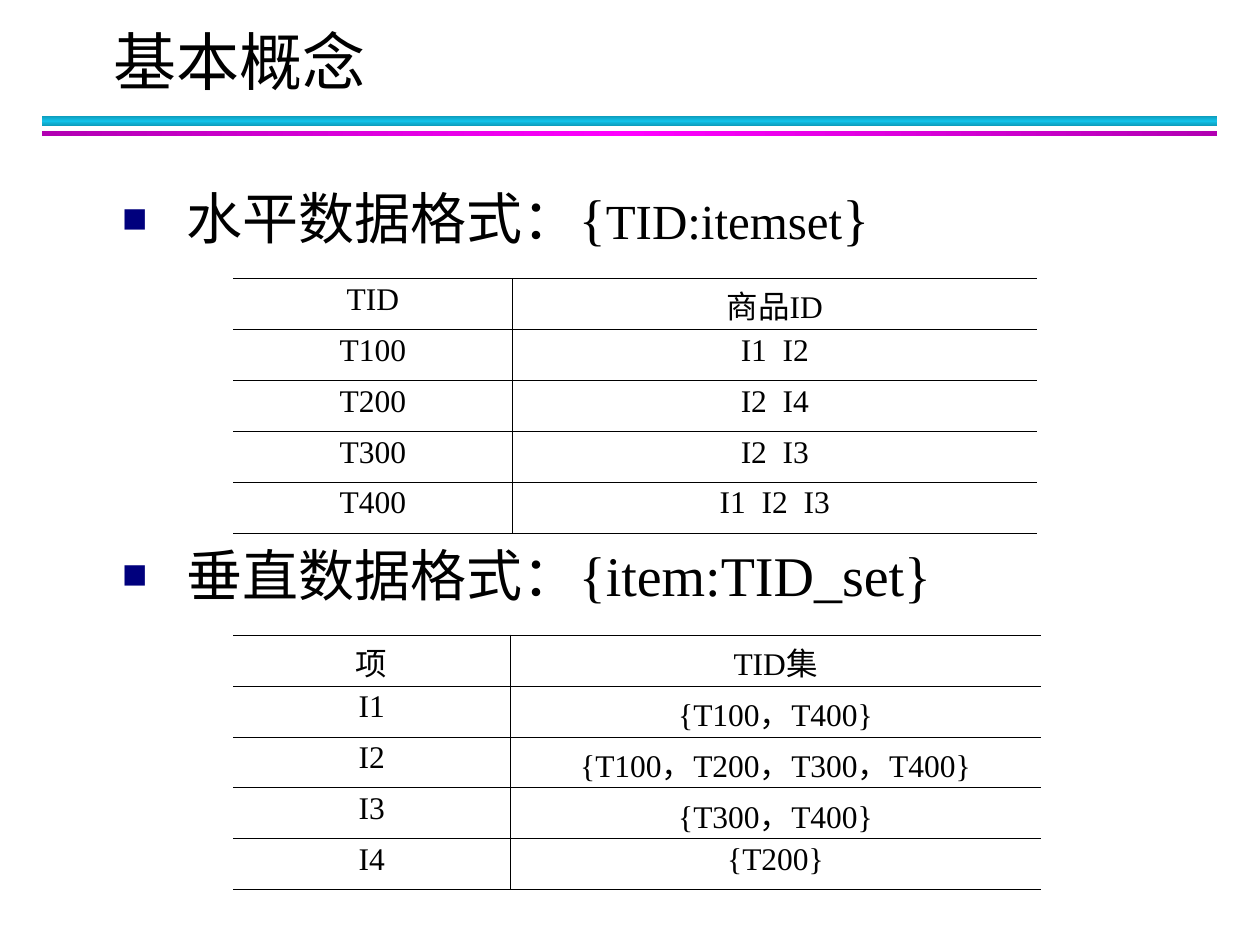
from lxml import etree
from pptx import Presentation
from pptx.dml.color import RGBColor
from pptx.enum.shapes import MSO_SHAPE
from pptx.enum.text import MSO_ANCHOR, MSO_AUTO_SIZE, PP_ALIGN
from pptx.oxml.ns import qn
from pptx.util import Inches, Pt

RECTANGLE = MSO_SHAPE.RECTANGLE
TOP, MIDDLE = MSO_ANCHOR.TOP, MSO_ANCHOR.MIDDLE
LEFT, CENTER = PP_ALIGN.LEFT, PP_ALIGN.CENTER
NO_AUTOFIT = MSO_AUTO_SIZE.NONE
TWO_CONTENT_LAYOUT = 3

BLACK, NAVY = "000000", "00007D"
LATIN, CHINESE = "Times New Roman", "Noto Sans CJK SC"

HORIZONTAL_ROWS = [
    ("TID", "商品ID"),
    ("T100", "I1  I2"),
    ("T200", "I2  I4"),
    ("T300", "I2  I3"),
    ("T400", "I1  I2  I3"),
]
VERTICAL_ROWS = [
    ("项", "TID集"),
    ("I1", "{T100，T400}"),
    ("I2", "{T100，T200，T300，T400}"),
    ("I3", "{T300，T400}"),
    ("I4", "{T200}"),
]


def rgb(value):
    return RGBColor.from_string(value)


def add_xml(parent, tag, **attributes):
    return etree.SubElement(parent, qn(tag), attributes)


def style_font(font, name, size):
    font.name = name
    font.size = Pt(size)
    font.color.rgb = rgb(BLACK)


def place(shape, left, top, width, height):
    shape.left, shape.top = Inches(left), Inches(top)
    shape.width, shape.height = Inches(width), Inches(height)


def add_gradient_bar(page, top, height, edge, middle, angle):
    bar = page.shapes.add_shape(
        RECTANGLE, Inches(0.33), Inches(top), Inches(9.33), Inches(height))
    bar.shadow.inherit = False
    bar.line.fill.background()
    bar.fill.gradient()
    bar.fill.gradient_angle = angle
    stops = bar.element.spPr.find(".//" + qn("a:gsLst"))
    for stop in list(stops):
        stops.remove(stop)
    for position, color in ((0, edge), (50000, middle), (100000, edge)):
        stop = add_xml(stops, "a:gs", pos=str(position))
        add_xml(stop, "a:srgbClr", val=color)


def fill_title(title, text):
    place(title, 0.8, 0.18, 9, 0.6)
    frame = title.text_frame
    frame.text = text
    frame.auto_size = NO_AUTOFIT
    frame.vertical_anchor = MIDDLE
    para = frame.paragraphs[0]
    para.alignment = LEFT
    style_font(para.runs[0].font, "Arial", 36)


def fill_heading(box, top, width, spans):
    """Write one square-bulleted line from (text, font, size) spans."""
    place(box, 0.87, top, width, 0.74)
    frame = box.text_frame
    frame.auto_size = NO_AUTOFIT
    frame.vertical_anchor = TOP
    para = frame.paragraphs[0]
    para.space_before = Pt(0)
    properties = para._p.get_or_add_pPr()
    properties.set("marL", str(Inches(0.51)))
    properties.set("indent", str(-Inches(0.51)))
    add_xml(add_xml(properties, "a:buClr"), "a:srgbClr", val=NAVY)
    add_xml(properties, "a:buSzPct", val="75000")
    add_xml(properties, "a:buFont", typeface="Arial")
    add_xml(properties, "a:buChar", char="■")
    for text, name, size in spans:
        span = para.add_run()
        span.text = text
        style_font(span.font, name, size)
        if name == CHINESE:
            add_xml(span._r.get_or_add_rPr(), "a:ea", typeface=name)


def set_borders(cell, visible_sides):
    properties = cell._tc.get_or_add_tcPr()
    for index, side in enumerate("LRTB"):
        line = add_xml(properties, "a:ln" + side, w=str(Pt(0.45)))
        properties.insert(index, line)
        if side in visible_sides:
            add_xml(add_xml(line, "a:solidFill"), "a:srgbClr", val=BLACK)
        else:
            add_xml(line, "a:noFill")


def add_ruled_table(page, top, widths, rows):
    """Add a table with rules between rows and columns but open outer sides."""
    frame = page.shapes.add_table(
        len(rows), len(widths), Inches(1.85), Inches(top),
        Inches(sum(widths)), Inches(2.02))
    table = frame.table
    table.first_row = table.horz_banding = False
    for column, width in zip(table.columns, widths):
        column.width = Inches(width)
    for row, texts in zip(table.rows, rows):
        for cell, text, sides in zip(row.cells, texts, ("RTB", "LTB")):
            cell.text = text
            cell.margin_top, cell.margin_bottom = Inches(0.03), 0
            cell.fill.background()
            set_borders(cell, sides)
            para = cell.text_frame.paragraphs[0]
            para.alignment = CENTER
            style_font(para.runs[0].font, LATIN, 18)


def main():
    deck = Presentation()
    deck.slide_width, deck.slide_height = Inches(10), Inches(7.5)
    page = deck.slides.add_slide(deck.slide_layouts[TWO_CONTENT_LAYOUT])
    title, horizontal, vertical = page.placeholders

    add_gradient_bar(page, 0.92, 0.08, "0E9BBA", "12C2E9", 90)
    add_gradient_bar(page, 1.04, 0.04, "B200B2", "FF00FF", 0)
    fill_title(title, "基本概念")

    fill_heading(horizontal, 1.41, 7.21, [
        ("水平数据格式：", CHINESE, 32), ("{", LATIN, 32),
        ("TID:itemset", LATIN, 28), ("}", LATIN, 32)])
    add_ruled_table(page, 2.21, (2.22, 4.16), HORIZONTAL_ROWS)

    fill_heading(vertical, 4.24, 7.36, [
        ("垂直数据格式：", CHINESE, 32), ("{item:TID_set}", LATIN, 32)])
    add_ruled_table(page, 5.04, (2.2, 4.21), VERTICAL_ROWS)

    deck.save("out.pptx")


if __name__ == "__main__":
    main()
